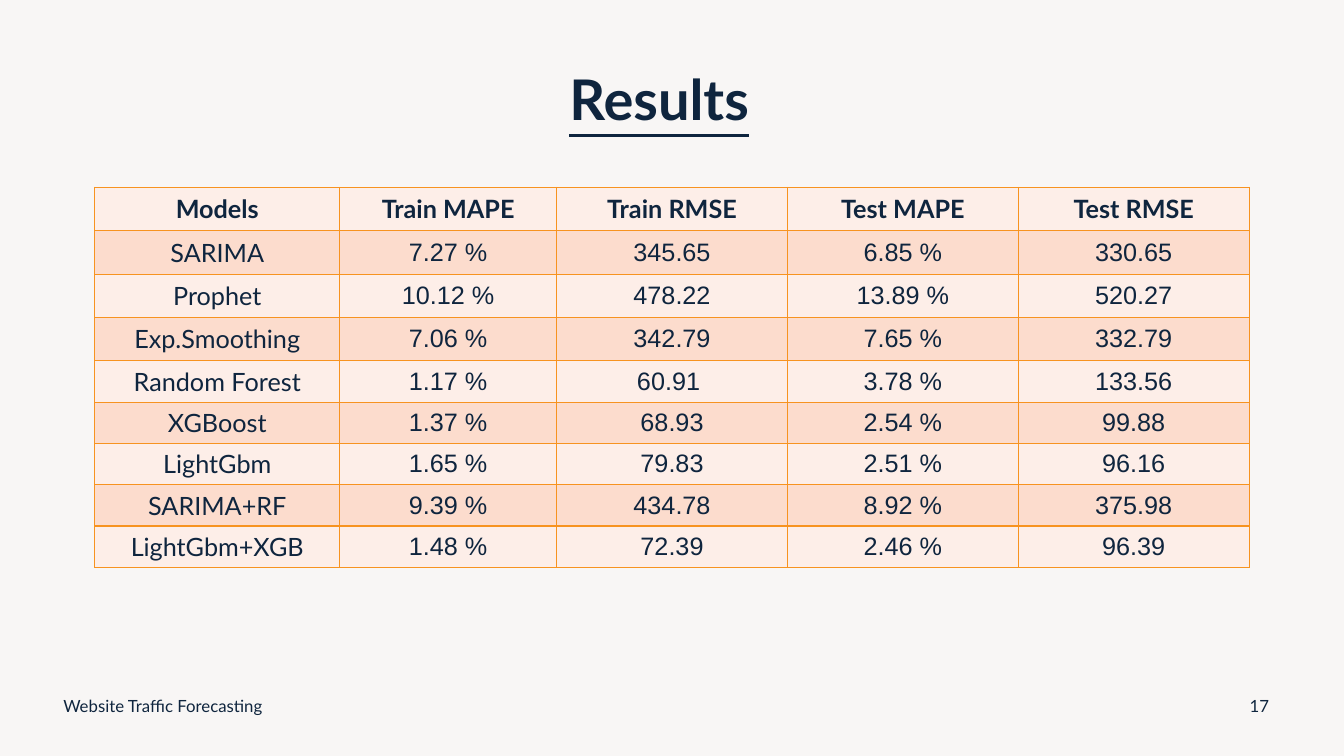
from dataclasses import dataclass

import pptx
import pptx.dml.color
import pptx.enum.text
import pptx.oxml
import pptx.oxml.ns
import pptx.util
from pptx.util import Inches

PP_ALIGN = pptx.enum.text.PP_ALIGN
MIDDLE = pptx.enum.text.MSO_ANCHOR.MIDDLE


@dataclass(frozen=True)
class Theme:
    background: str = "F8F6F5"
    ink: str = "0F253E"
    border: str = "F79320"
    light_row: str = "FDEEE8"
    dark_row: str = "FCDCCD"
    text_font: str = "Lato"
    number_font: str = "Arial"
    title_size: int = 40
    table_size: int = 18
    footer_size: int = 12
    border_width: int = 1


THEME = Theme()

RESULTS = [
    ("Models", "Train MAPE", "Train RMSE", "Test MAPE", "Test RMSE"),
    ("SARIMA", "7.27 %", "345.65", "6.85 %", "330.65"),
    ("Prophet", "10.12 %", "478.22", "13.89 %", "520.27"),
    ("Exp.Smoothing", "7.06 %", "342.79", "7.65 %", "332.79"),
    ("Random Forest", "1.17 %", "60.91 ", "3.78 %", "133.56"),
    ("XGBoost", "1.37 %", "68.93", "2.54 %", "99.88"),
    ("LightGbm", "1.65 %", "79.83", "2.51 %", "96.16"),
    ("SARIMA+RF", "9.39 %", "434.78", "8.92 %", "375.98"),
    ("LightGbm+XGB", "1.48 %", "72.39", "2.46 %", "96.39"),
]
COLUMN_WIDTHS = [2.43, 2.15] + [2.29] * 3
ROW_HEIGHTS = [0.43] * 4 + [0.41] * 5


def rgb(color):
    return pptx.dml.color.RGBColor.from_string(color)


def style_paragraph(p, size, font=THEME.text_font, bold=False, align=PP_ALIGN.LEFT):
    p.alignment = align
    p.font.name = font
    p.font.size = pptx.util.Pt(size)
    p.font.bold = bold
    p.font.color.rgb = rgb(THEME.ink)


def add_text(s, text, left, top, width, height, size, **style):
    tf = s.shapes.add_textbox(
        Inches(left), Inches(top), Inches(width), Inches(height)
    ).text_frame
    tf.word_wrap = True
    tf.vertical_anchor = MIDDLE
    p = tf.paragraphs[0]
    p.text = text
    style_paragraph(p, size, **style)
    return p


def add_borders(cell):
    tc_pr = cell._tc.get_or_add_tcPr()
    width = pptx.util.Pt(THEME.border_width)
    for side in ("lnL", "lnR", "lnT", "lnB"):
        tc_pr.append(pptx.oxml.parse_xml(
            f'<a:{side} {pptx.oxml.ns.nsdecls("a")} w="{width}"><a:solidFill>'
            f'<a:srgbClr val="{THEME.border}"/></a:solidFill></a:{side}>'
        ))


def fill_cell(cell, text, row, col):
    is_number = row > 0 and col > 0
    add_borders(cell)
    cell.fill.solid()
    cell.fill.fore_color.rgb = rgb(THEME.dark_row if row % 2 else THEME.light_row)
    cell.vertical_anchor = MIDDLE
    cell.text = text
    style_paragraph(
        cell.text_frame.paragraphs[0],
        THEME.table_size,
        font=THEME.number_font if is_number else THEME.text_font,
        bold=row == 0,
        align=PP_ALIGN.CENTER,
    )


def add_results_table(s, left, top):
    table = s.shapes.add_table(
        len(ROW_HEIGHTS), len(COLUMN_WIDTHS), Inches(left), Inches(top),
        Inches(sum(COLUMN_WIDTHS)), Inches(sum(ROW_HEIGHTS)),
    ).table
    for column, width in zip(table.columns, COLUMN_WIDTHS):
        column.width = Inches(width)
    for row, height in zip(table.rows, ROW_HEIGHTS):
        row.height = Inches(height)
    for i, values in enumerate(RESULTS):
        for j, text in enumerate(values):
            fill_cell(table.cell(i, j), text, i, j)


def main():
    prs = pptx.Presentation()
    prs.slide_width, prs.slide_height = Inches(13.33), Inches(7.5)
    s = prs.slides.add_slide(prs.slide_layouts[6])
    s.background.fill.solid()
    s.background.fill.fore_color.rgb = rgb(THEME.background)

    title = add_text(s, "Results", 5.55, 0.41, 2.23, 1.22, THEME.title_size, bold=True)
    title.font.underline = True
    title.line_spacing = 0.9
    add_results_table(s, 0.94, 1.86)
    add_text(s, "Website Traffic Forecasting", 0.53, 6.8, 4.5, 0.4, THEME.footer_size)
    add_text(s, "17", 12.24, 6.8, 0.5, 0.4, THEME.footer_size, align=PP_ALIGN.CENTER)
    prs.save("out.pptx")


if __name__ == "__main__":
    main()
